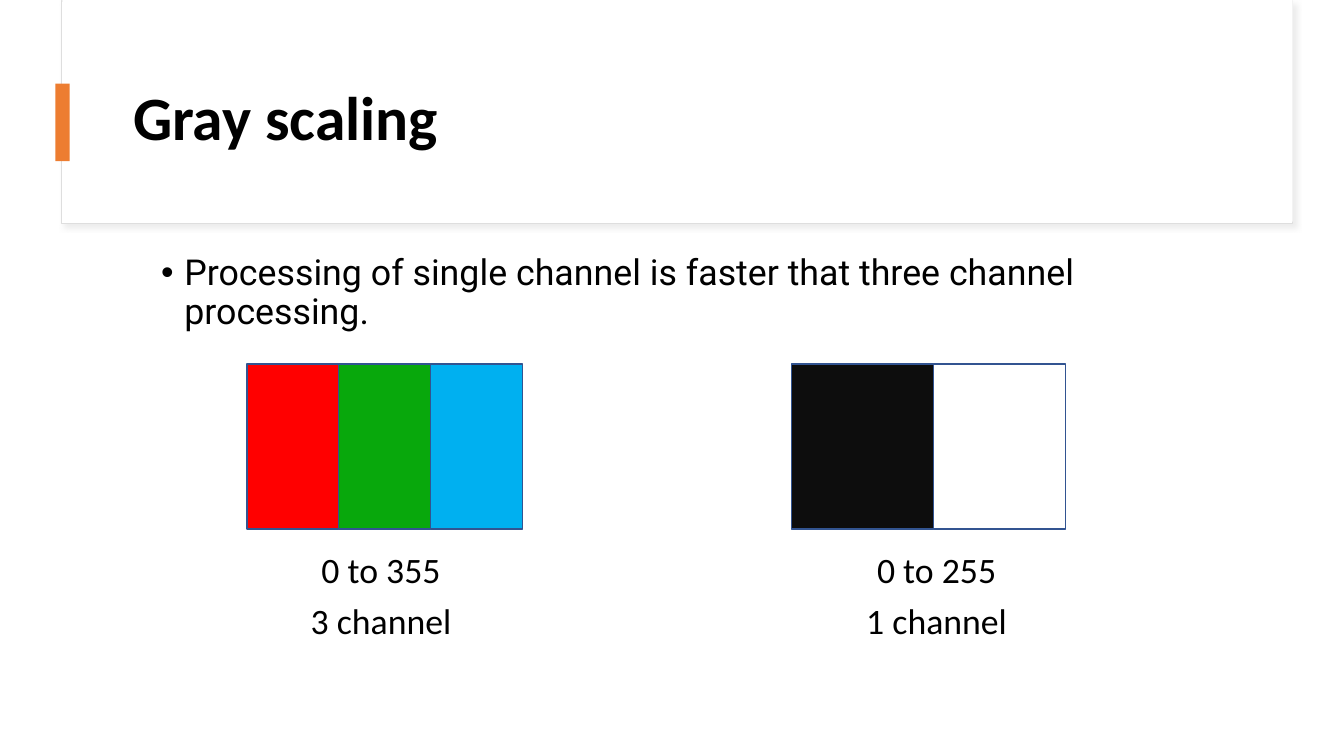
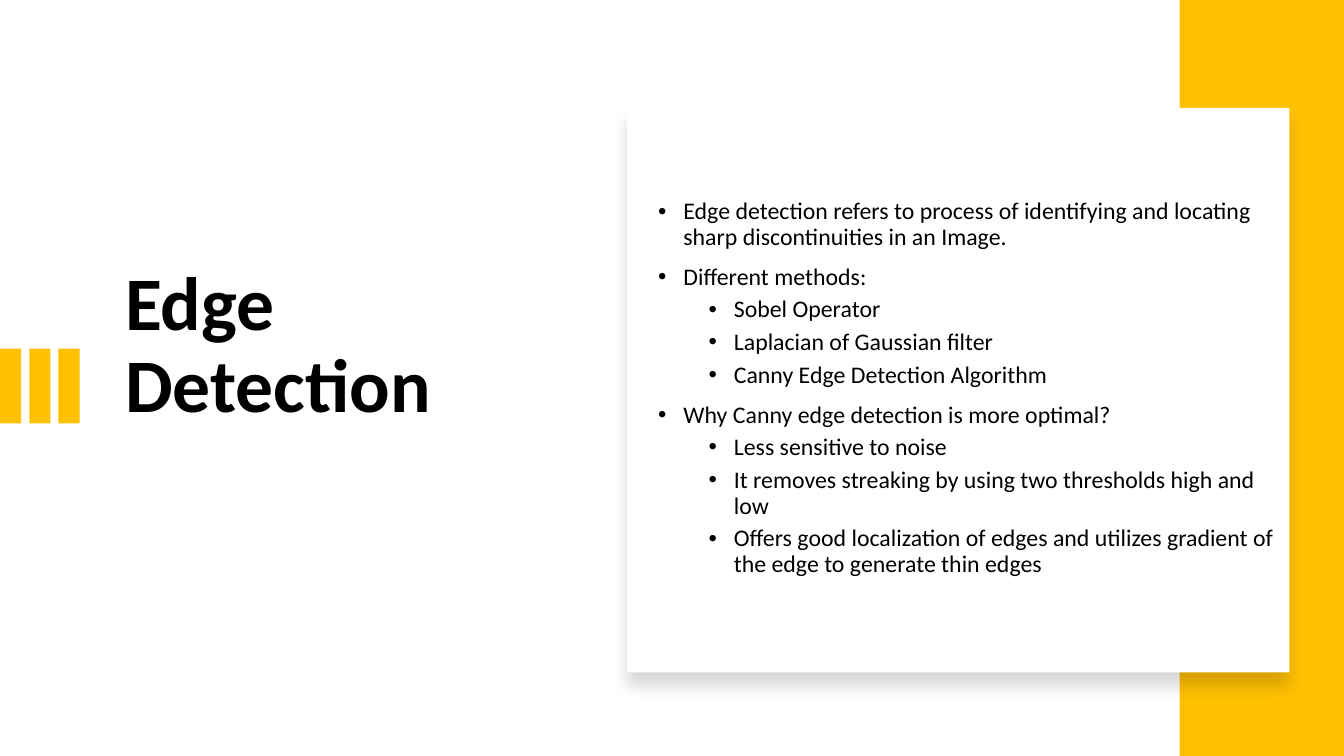
import lxml.etree
import pptx
import pptx.dml.color
import pptx.enum.shapes
import pptx.enum.text
import pptx.oxml.ns
import pptx.util
from pptx.util import Inches, Pt

BLACK, WHITE = "000000", "FFFFFF"
ORANGE, GOLD = "ED7D31", "FFC000"
HEADER_LINE, SWATCH_LINE = "DEDEDE", "325491"
LINE_SPACING = 0.9
ALIGN = pptx.enum.text.PP_ALIGN
ANCHOR = pptx.enum.text.MSO_ANCHOR


def rgb(value):
    return pptx.dml.color.RGBColor.from_string(value)


def add_child(parent, tag, **attributes):
    """Append a DrawingML element such as "a:buChar" and return it."""
    child = lxml.etree.SubElement(parent, pptx.oxml.ns.qn(tag))
    for key, value in attributes.items():
        child.set(key, str(value))
    return child


def add_rect(slide, left, top, width, height, fill, line=None, line_width=1):
    rect = slide.shapes.add_shape(
        pptx.enum.shapes.MSO_SHAPE.RECTANGLE,
        Inches(left), Inches(top), Inches(width), Inches(height))
    rect.shadow.inherit = False
    rect.fill.solid()
    rect.fill.fore_color.rgb = rgb(fill)
    if line:
        rect.line.color.rgb = rgb(line)
        rect.line.width = Pt(line_width)
    else:
        rect.line.fill.background()
    return rect


def add_shadow(shape, color, opacity, blur, distance, angle):
    """Blur and distance are in points, opacity in percent, angle in degrees."""
    effects = shape.element.spPr.find(pptx.oxml.ns.qn("a:effectLst"))
    shadow = add_child(effects, "a:outerShdw", blurRad=int(Pt(blur)),
                       dist=int(Pt(distance)), dir=angle * 60000,
                       algn="t", rotWithShape=0)
    tint = add_child(shadow, "a:srgbClr", val=color)
    add_child(tint, "a:alpha", val=opacity * 1000)


def add_run(paragraph, text, size, font="Calibri", bold=False):
    run = paragraph.add_run()
    run.text = text
    run.font.size = Pt(size)
    run.font.name = font
    run.font.bold = bold
    run.font.color.rgb = rgb(BLACK)


def set_title(slide, text, left, top, width, height, size):
    """Place the title and bring it in front of the panels drawn so far."""
    title = slide.shapes.title
    title.left, title.top = Inches(left), Inches(top)
    title.width, title.height = Inches(width), Inches(height)
    frame = title.text_frame
    frame.auto_size = pptx.enum.text.MSO_AUTO_SIZE.NONE
    frame.vertical_anchor = ANCHOR.MIDDLE
    paragraph = frame.paragraphs[0]
    paragraph.alignment = ALIGN.LEFT
    paragraph.line_spacing = LINE_SPACING
    add_run(paragraph, text, size, bold=True)
    title.element.getparent().append(title.element)


def add_text_frame(slide, left, top, width, height, anchor=ANCHOR.TOP):
    box = slide.shapes.add_textbox(
        Inches(left), Inches(top), Inches(width), Inches(height))
    frame = box.text_frame
    frame.word_wrap = True
    frame.vertical_anchor = anchor
    return frame


def add_paragraph(frame, index, space_before):
    paragraph = frame.add_paragraph() if index else frame.paragraphs[0]
    paragraph.line_spacing = LINE_SPACING
    paragraph.space_before = Pt(space_before if index else 0)
    return paragraph


def add_bullets(frame, items, size, font="Calibri", hanging=0.25):
    """Fill the frame with (level, text) items."""
    for index, (level, text) in enumerate(items):
        paragraph = add_paragraph(frame, index, 5 if level else 10)
        paragraph.level = level
        properties = paragraph._p.get_or_add_pPr()
        properties.set("marL", str(int(Inches(hanging + 0.5 * level))))
        properties.set("indent", str(-int(Inches(hanging))))
        add_child(properties, "a:buFont", typeface="Arial")
        add_child(properties, "a:buChar", char="•")
        add_run(paragraph, text, size, font)


def add_caption(slide, center, lines):
    width = 3
    frame = add_text_frame(slide, center - width / 2, 5.43, width, 1)
    for index, text in enumerate(lines):
        paragraph = add_paragraph(frame, index, 9.1)
        paragraph.alignment = ALIGN.CENTER
        add_run(paragraph, text, 25.5)


def add_swatches(slide, left, swatches):
    """Draw (width, fill) swatches side by side."""
    for width, fill in swatches:
        add_rect(slide, left, 3.61, width, 1.64, fill, SWATCH_LINE)
        left += width


def build_gray_scaling(slide):
    header = add_rect(slide, 0.61, 0.01, 12.21, 2.21, WHITE, HEADER_LINE, 0.75)
    add_shadow(header, "D9D9D9", 50, 4, 3, 45)
    add_rect(slide, 0.62, 0, 12.2, 2.2, WHITE)
    set_title(slide, "Gray scaling", 1.22, 0.55, 11.12, 1.29, 44)
    add_rect(slide, 0.55, 0.83, 0.14, 0.77, ORANGE)

    body = add_text_frame(slide, 1.5, 2.48, 10.56, 1)
    add_bullets(body, [(0, "Processing of single channel is faster that "
                           "three channel processing.")],
                25.5, "Roboto", 0.23)

    add_swatches(slide, 2.45, [(0.91, "FF0000"), (0.91, "08A80C"),
                               (0.91, "00B0F0")])
    add_swatches(slide, 7.85, [(1.41, "0D0D0D"), (1.31, WHITE)])
    add_caption(slide, 3.78, ["0 to 355", "3 channel"])
    add_caption(slide, 9.29, ["0 to 255", "1 channel"])


def build_edge_detection(slide):
    set_title(slide, "Edge Detection", 1.14, 1.05, 4.26, 4.79, 54)
    bar_width, bar_gap = 0.21, 0.08
    for column in range(3):
        add_rect(slide, column * (bar_width + bar_gap), 3.46,
                 bar_width, 0.74, GOLD)
    add_rect(slide, 11.7, 0, 1.63, 7.5, GOLD)
    card = add_rect(slide, 6.22, 1.07, 6.57, 5.6, WHITE)
    add_shadow(card, BLACK, 15, 11, 10, 90)

    body = add_text_frame(slide, 6.43, 1.29, 6.32, 5.13, ANCHOR.MIDDLE)
    add_bullets(body, [
        (0, "Edge detection refers to process of identifying and locating "
            "sharp discontinuities in an Image."),
        (0, "Different methods:"),
        (1, "Sobel Operator"),
        (1, "Laplacian of Gaussian filter"),
        (1, "Canny Edge Detection Algorithm"),
        (0, "Why Canny edge detection is more optimal?"),
        (1, "Less sensitive to noise"),
        (1, "It removes streaking by using two thresholds high and low"),
        (1, "Offers good localization of edges and utilizes gradient of "
            "the edge to generate thin edges"),
    ], 17)


def main():
    deck = pptx.Presentation()
    deck.slide_width, deck.slide_height = Inches(13.33), Inches(7.5)
    title_only = deck.slide_layouts[5]
    for build in (build_gray_scaling, build_edge_detection):
        build(deck.slides.add_slide(title_only))
    deck.save("out.pptx")


if __name__ == "__main__":
    main()
